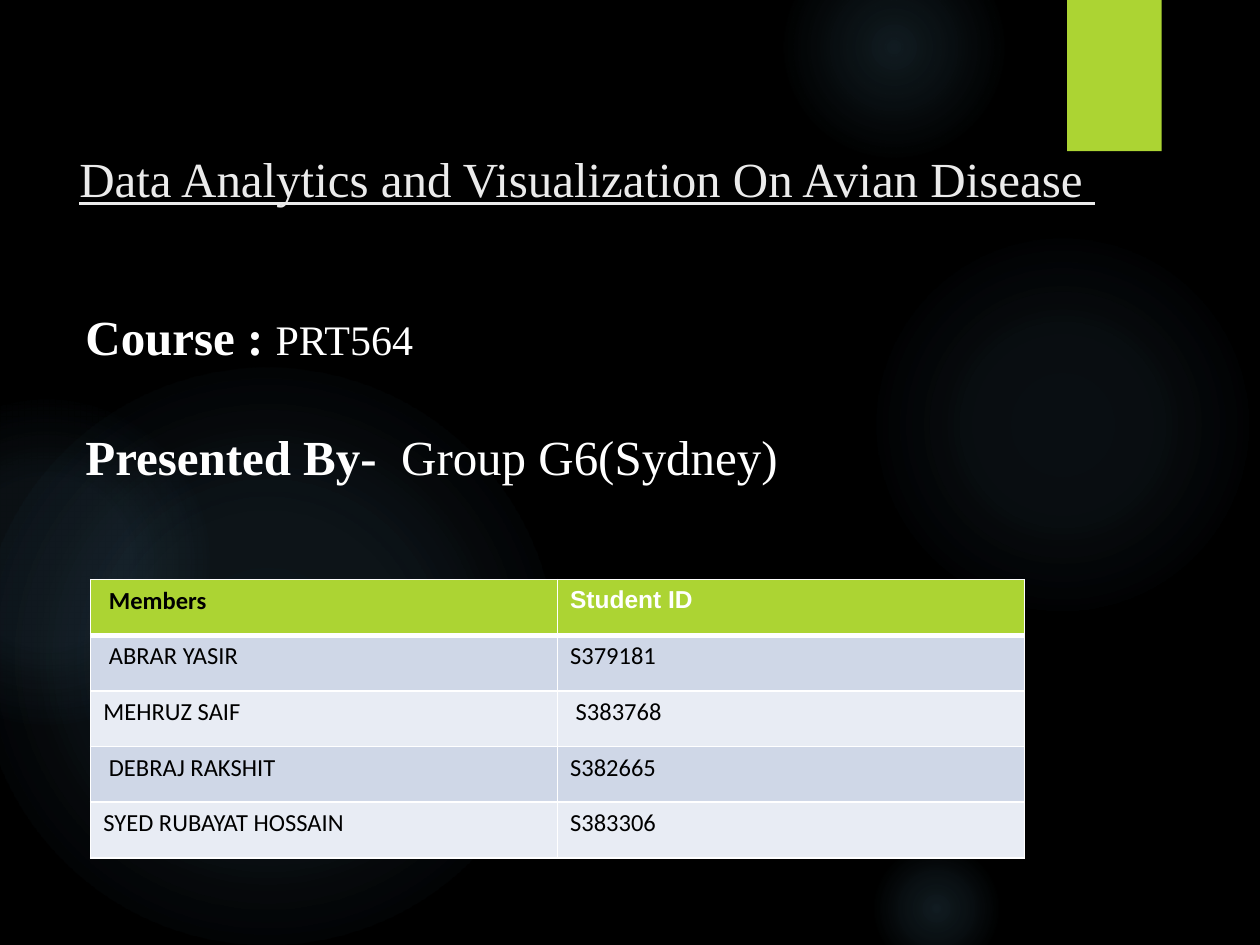
from pptx import Presentation
from pptx.dml.color import RGBColor
from pptx.enum.shapes import MSO_SHAPE
from pptx.enum.text import MSO_ANCHOR
from pptx.oxml import parse_xml
from pptx.oxml.ns import nsdecls, qn
from pptx.util import Inches, Pt

BLACK = RGBColor(0x00, 0x00, 0x00)
WHITE = RGBColor(0xFF, 0xFF, 0xFF)
TITLE_GREY = RGBColor(0xEB, 0xEB, 0xEB)
GREEN = RGBColor(0xAC, 0xD4, 0x33)
GLOW_BLUE = RGBColor(0x7A, 0xC4, 0xF0)
BAND_DARK = RGBColor(0xCF, 0xD7, 0xE7)
BAND_LIGHT = RGBColor(0xE8, 0xEC, 0xF4)
SERIF = "Times New Roman"

# left, top, diameter, then (position %, opacity %) stops
GLOWS = [
    (6.89, 1.83, 3.08, [(0, 7), (36, 6), (69, 0)]),
    (6.22, -0.5, 1.75, [(0, 14), (36, 7), (73, 0)]),
    (6.89, 6.67, 1.08, [(0, 14), (36, 7), (66, 0)]),
    (-0.17, 2.92, 4.58, [(0, 11), (36, 10), (75, 0)]),
    (-0.92, 3.17, 2.58, [(0, 8), (36, 8), (72, 0)]),
]
TITLE = "Data Analytics and Visualization On Avian Disease "
# text, size, bold
DETAILS = [
    [("Course : ", 28, True), ("PRT564", 24, False)],
    [("Presented By-  ", 28, True), ("Group G6(Sydney)", 28, False)],
]
MEMBERS = [
    (" Members", "Student ID"),
    (" ABRAR YASIR", "S379181"),
    ("MEHRUZ SAIF", " S383768"),
    (" DEBRAJ RAKSHIT", "S382665"),
    ("SYED RUBAYAT HOSSAIN", "S383306"),
]


def add_run(paragraph, text, size, font_name, color, bold=False):
    run = paragraph.add_run()
    run.text = text
    run.font.size = Pt(size)
    run.font.name = font_name
    run.font.color.rgb = color
    run.font.bold = bold
    return run


def add_plain_shape(slide, kind, *box):
    shape = slide.shapes.add_shape(kind, *map(Inches, box))
    shape.shadow.inherit = False
    shape.line.fill.background()
    return shape


def add_glow(slide, left, top, diameter, stops):
    """Add a circle that fades out from its centre."""
    shape = add_plain_shape(slide, MSO_SHAPE.OVAL, left, top, diameter, diameter)
    stop_xml = "".join(
        f'<a:gs pos="{position * 1000}"><a:srgbClr val="{GLOW_BLUE}">'
        f'<a:alpha val="{opacity * 1000}"/></a:srgbClr></a:gs>'
        for position, opacity in stops
    )
    gradient = parse_xml(
        f'<a:gradFill {nsdecls("a")}><a:gsLst>{stop_xml}</a:gsLst><a:path path="circle">'
        '<a:fillToRect l="50000" t="50000" r="50000" b="50000"/></a:path></a:gradFill>'
    )
    shape.element.spPr.find(qn("a:prstGeom")).addnext(gradient)


def add_green_tab(slide):
    tab = add_plain_shape(slide, MSO_SHAPE.RECTANGLE, 8.47, 0, 0.75, 1.2)
    tab.fill.solid()
    tab.fill.fore_color.rgb = GREEN
    tab.element.spPr.find(qn("a:effectLst")).append(parse_xml(
        f'<a:outerShdw {nsdecls("a")} blurRad="{Pt(3)}" dist="{Pt(2)}" dir="5400000">'
        f'<a:srgbClr val="{BLACK}"><a:alpha val="45000"/></a:srgbClr></a:outerShdw>'
    ))


def add_text_frame(slide, *box):
    frame = slide.shapes.add_textbox(*map(Inches, box)).text_frame
    frame.word_wrap = True
    return frame


def set_borders(cell, bottom_width):
    properties = cell._tc.get_or_add_tcPr()
    for side, width in (("L", 1), ("R", 1), ("T", 1), ("B", bottom_width)):
        properties.append(parse_xml(
            f'<a:ln{side} {nsdecls("a")} w="{Pt(width)}"><a:solidFill>'
            f'<a:srgbClr val="{WHITE}"/></a:solidFill></a:ln{side}>'
        ))


def add_member_table(slide):
    box = map(Inches, (0.72, 4.6, 7.41, 2.21))
    table = slide.shapes.add_table(len(MEMBERS), len(MEMBERS[0]), *box).table
    for row, texts in enumerate(MEMBERS):
        header = row == 0
        fill = GREEN if header else (BAND_LIGHT, BAND_DARK)[row % 2]
        for column, text in enumerate(texts):
            cell = table.cell(row, column)
            # Row 1 shares the thick rule under the header
            set_borders(cell, 3 if header else 1)
            if row == 1:
                cell._tc.tcPr.find(qn("a:lnT")).set("w", str(Pt(3)))
            cell.fill.solid()
            cell.fill.fore_color.rgb = fill
            id_header = header and column == 1
            add_run(cell.text_frame.paragraphs[0], text, 14,
                    "Arial" if id_header else "Calibri",
                    WHITE if id_header else BLACK, header)


def main():
    presentation = Presentation()
    presentation.slide_width = Inches(10)
    presentation.slide_height = Inches(7.5)
    slide = presentation.slides.add_slide(presentation.slide_layouts[6])
    slide.background.fill.solid()
    slide.background.fill.fore_color.rgb = BLACK

    for glow in GLOWS:
        add_glow(slide, *glow)
    add_green_tab(slide)

    title = add_text_frame(slide, 0.58, 0.79, 9, 1.25)
    title.vertical_anchor = MSO_ANCHOR.MIDDLE
    title.margin_left = title.margin_right = Inches(0.05)
    add_run(title.paragraphs[0], TITLE, 28, SERIF, TITLE_GREY).font.underline = True

    add_member_table(slide)

    details = add_text_frame(slide, 0.58, 2.38, 7.96, 1.48)
    for index, runs in enumerate(DETAILS):
        paragraph = details.add_paragraph() if index else details.paragraphs[0]
        if index:
            paragraph.space_before = Pt(35)
        for text, size, bold in runs:
            add_run(paragraph, text, size, SERIF, WHITE, bold)

    presentation.save("out.pptx")


if __name__ == "__main__":
    main()
